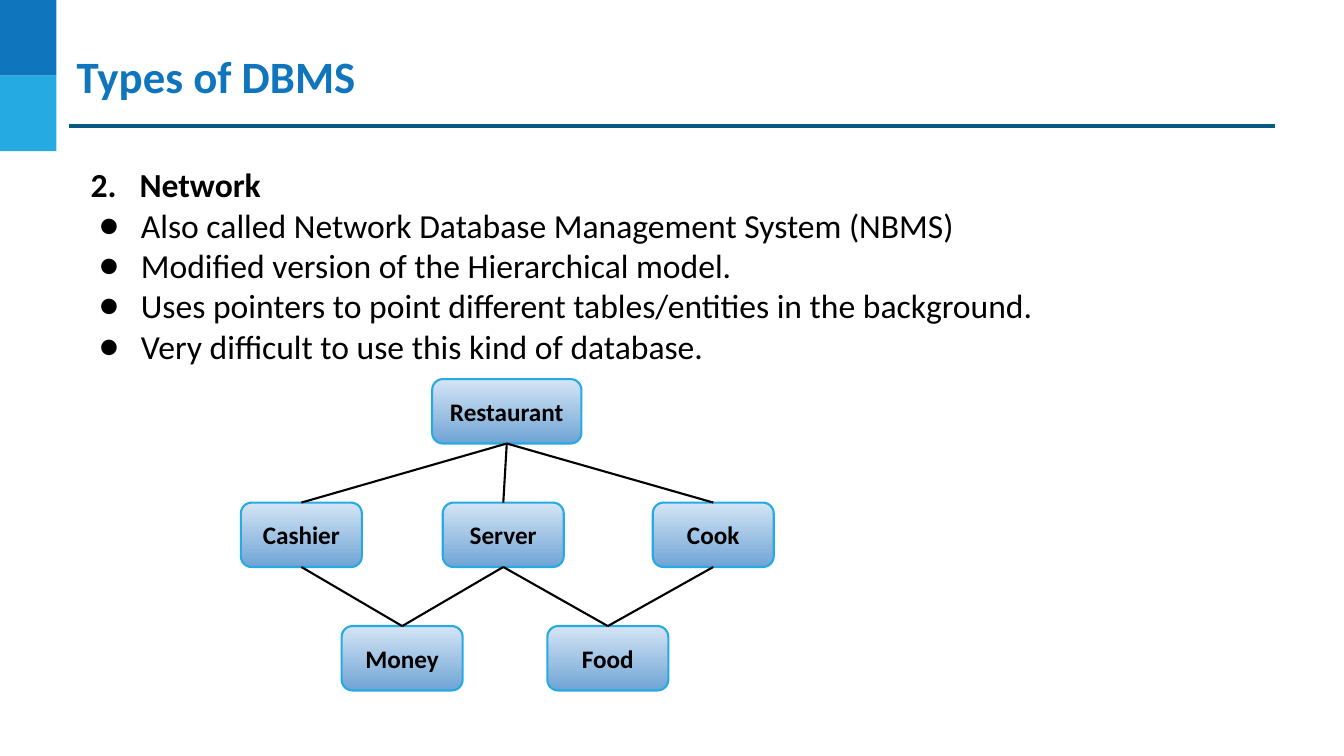
from lxml import etree
from pptx import Presentation
from pptx.dml.color import RGBColor
from pptx.enum import shapes, text
from pptx.oxml import ns
from pptx.util import Pt


def color(hex_code):
    return RGBColor.from_string(hex_code)


def style_text(paragraph, size, hex_code, bold):
    for run in paragraph.runs:
        run.font.name = "Calibri"
        run.font.size = Pt(size)
        run.font.bold = bold
        run.font.color.rgb = color(hex_code)


deck = Presentation()
deck.slide_width, deck.slide_height = Pt(960), Pt(540)
slide = deck.slides.add_slide(deck.slide_layouts[5])

# Corner blocks and the rule under the title
for row, block_color in enumerate(["0F75BD", "25AAE2"]):
    block = slide.shapes.add_shape(shapes.MSO_SHAPE.RECTANGLE, 0, Pt(54 * row), Pt(40.3), Pt(54))
    block.shadow.inherit = False
    block.fill.solid()
    block.fill.fore_color.rgb = color(block_color)
    block.line.fill.background()

title_rule = slide.shapes.add_connector(
    shapes.MSO_CONNECTOR.STRAIGHT, Pt(49.3), Pt(90), Pt(911), Pt(90))
title_rule.line.color.rgb = color("095A82")
title_rule.line.width = Pt(2.25)
etree.SubElement(title_rule._element.spPr, ns.qn("a:effectLst"))

# Title
title = slide.shapes.title
title.left, title.top, title.width, title.height = Pt(53.3), Pt(33), Pt(862), Pt(80)
title_frame = title.text_frame
title_frame.text = "Types of DBMS"
title_frame.margin_left = title_frame.margin_right = Pt(1.5)
title_frame.margin_top = title_frame.margin_bottom = Pt(1.5)
title_frame.vertical_anchor = text.MSO_ANCHOR.TOP
title_frame.paragraphs[0].alignment = text.PP_ALIGN.LEFT
style_text(title_frame.paragraphs[0], 32, "0F75BD", True)

# Numbered heading with its bullet points
points = [
    "Network",
    "Also called Network Database Management System (NBMS)",
    "Modified version of the Hierarchical model.",
    "Uses pointers to point different tables/entities in the background.",
    "Very difficult to use this kind of database.",
]
description = slide.shapes.add_textbox(Pt(57.6), Pt(110.2), Pt(837), Pt(160)).text_frame
description.word_wrap = True
description.margin_left = description.margin_right = Pt(7.2)
description.margin_top = description.margin_bottom = Pt(7.2)
description.text = "\n".join(points)
for number, point in enumerate(description.paragraphs):
    is_heading = number == 0
    properties = point._p.get_or_add_pPr()
    properties.set("marL", str(Pt(35 if is_heading else 36)))
    properties.set("indent", str(Pt(-35 if is_heading else -30)))
    bullet_color = etree.SubElement(properties, ns.qn("a:buClr"))
    etree.SubElement(bullet_color, ns.qn("a:srgbClr"), val="000000")
    etree.SubElement(properties, ns.qn("a:buFont"), typeface="Calibri")
    if is_heading:
        etree.SubElement(properties, ns.qn("a:buAutoNum"), type="arabicPeriod", startAt="2")
    else:
        etree.SubElement(properties, ns.qn("a:buChar"), char="●")
    style_text(point, 24, "000000", is_heading)

# Network diagram: entity, centre, level, width
entities = [
    ("Restaurant", 362, 0, 106.6),
    ("Cashier", 215.3, 1, 86.4),
    ("Server", 359.5, 1, 86.4),
    ("Cook", 509.5, 1, 86.4),
    ("Money", 287.3, 2, 86.4),
    ("Food", 434.2, 2, 86.4),
]
nodes = {}
for entity, center, level, width in entities:
    node = slide.shapes.add_shape(
        shapes.MSO_SHAPE.ROUNDED_RECTANGLE,
        Pt(center - width / 2), Pt(270.8 + 88.2 * level), Pt(width), Pt(46))
    node.shadow.inherit = False
    node.fill.gradient()
    node.fill.gradient_angle = 270
    for stop, stop_color in zip(node.fill.gradient_stops, ["D4E5F5", "70A4D5"]):
        stop.color.rgb = color(stop_color)
    node.line.color.rgb = color("25AAE2")
    node.line.width = Pt(1.5)
    label = node.text_frame
    label.text = entity
    label.vertical_anchor = text.MSO_ANCHOR.MIDDLE
    label.paragraphs[0].alignment = text.PP_ALIGN.CENTER
    style_text(label.paragraphs[0], 18, "000000", True)
    nodes[entity] = node

relations = [
    ("Restaurant", "Cashier"), ("Restaurant", "Server"), ("Restaurant", "Cook"),
    ("Cashier", "Money"), ("Server", "Money"), ("Cook", "Food"), ("Server", "Food"),
]
BOTTOM_SITE, TOP_SITE = 2, 0
for parent, child in relations:
    relation = slide.shapes.add_connector(shapes.MSO_CONNECTOR.STRAIGHT, 0, 0, 0, 0)
    relation.begin_connect(nodes[parent], BOTTOM_SITE)
    relation.end_connect(nodes[child], TOP_SITE)
    relation.line.color.rgb = color("000000")
    relation.line.width = Pt(1.5)
    etree.SubElement(relation._element.spPr, ns.qn("a:effectLst"))

deck.save("out.pptx")
